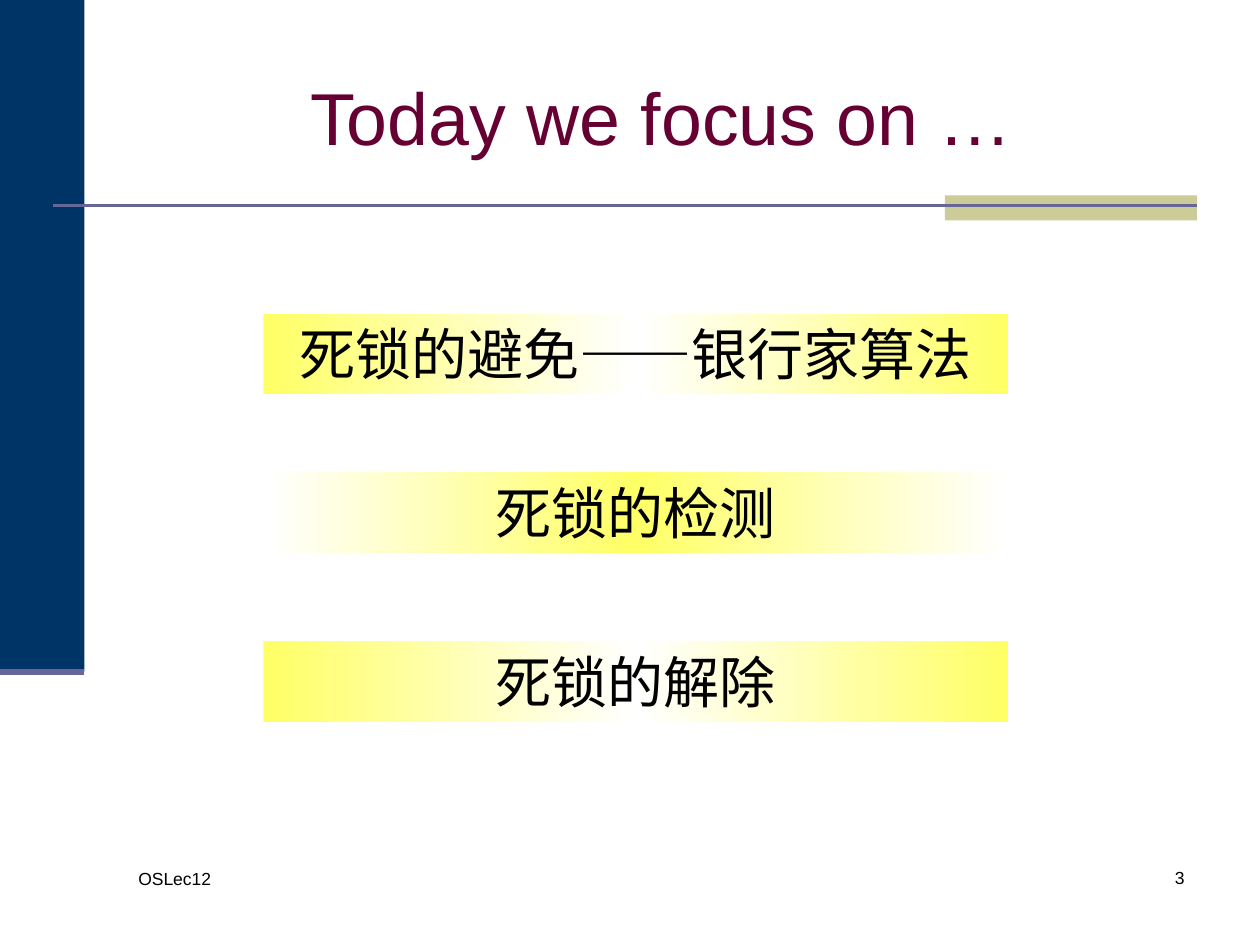
import copy

import lxml.etree
import pptx
import pptx.dml.color
import pptx.enum.shapes
import pptx.enum.text
import pptx.oxml.ns
import pptx.util

Inches = pptx.util.Inches
ALIGN = pptx.enum.text.PP_ALIGN
ANCHOR = pptx.enum.text.MSO_ANCHOR

COLORS = {
    "navy": "003366",
    "khaki": "CCCC99",
    "rule": "666699",
    "title": "660033",
    "text": "000000",
    "yellow": "FFFF66",
    "white": "FFFFFF",
}
INWARD = ("yellow", "white", "yellow")
OUTWARD = ("white", "yellow", "white")
TOPICS = [
    (2.49, "死锁的避免——银行家算法", INWARD),
    (3.75, "死锁的检测", OUTWARD),
    (5.09, "死锁的解除", INWARD),
]


def color(name):
    return pptx.dml.color.RGBColor.from_string(COLORS[name])


def apply(target, values):
    for name, value in values.items():
        setattr(target, name, value)


def write(shape, text, size, color_name, align, anchor=ANCHOR.TOP):
    frame = shape.text_frame
    apply(frame, {"word_wrap": True, "vertical_anchor": anchor})
    paragraph = frame.paragraphs[0]
    paragraph.text = text
    paragraph.alignment = align
    font = paragraph.runs[0].font
    apply(font, {"name": "Arial", "size": pptx.util.Pt(size)})
    font.color.rgb = color(color_name)


def add_rectangle(slide, box):
    shape = slide.shapes.add_shape(
        pptx.enum.shapes.MSO_SHAPE.RECTANGLE, *map(Inches, box))
    shape.shadow.inherit = False
    shape.line.fill.background()
    return shape


def add_block(slide, box, color_name):
    shape = add_rectangle(slide, box)
    shape.fill.solid()
    shape.fill.fore_color.rgb = color(color_name)


def add_rule(slide, left, right, top, width):
    connector = slide.shapes.add_connector(
        pptx.enum.shapes.MSO_CONNECTOR.STRAIGHT,
        *map(Inches, (left, top, right, top)))
    connector.line.color.rgb = color("rule")
    connector.line.width = pptx.util.Pt(width)
    lxml.etree.SubElement(connector.element.spPr, pptx.oxml.ns.qn("a:effectLst"))


def add_frame(slide):
    add_block(slide, (0, 0, 0.67, 5.33), "navy")
    add_block(slide, (7.5, 1.55, 2, 0.2), "khaki")
    add_rule(slide, 0.42, 9.5, 1.63, 1.5)
    add_rule(slide, 0, 0.67, 5.33, 3.5)


def add_title(slide, box):
    title = slide.shapes.title
    apply(title, dict(zip(("left", "top", "width", "height"), map(Inches, box))))
    write(title, "Today we focus on …", 42, "title", ALIGN.CENTER, ANCHOR.MIDDLE)


def add_footer(slide, box, text, align):
    write(slide.shapes.add_textbox(*map(Inches, box)), text, 10, "text", align)


def add_topic(slide, box, text, gradient):
    banner = add_rectangle(slide, box)
    banner.fill.gradient()
    banner.fill.gradient_angle = 0
    stop_list = banner.element.find(".//" + pptx.oxml.ns.qn("a:gsLst"))
    stop_list.insert(1, copy.deepcopy(stop_list[0]))
    for stop, position, name in zip(banner.fill.gradient_stops, (0, 0.5, 1), gradient):
        stop.position = position
        stop.color.rgb = color(name)
    write(banner, text, 32, "text", ALIGN.CENTER)
    banner.text_frame.auto_size = pptx.enum.text.MSO_AUTO_SIZE.SHAPE_TO_FIT_TEXT


def main():
    presentation = pptx.Presentation()
    apply(presentation, {"slide_width": Inches(10), "slide_height": Inches(7.5)})
    slide = presentation.slides.add_slide(presentation.slide_layouts[5])
    add_frame(slide)
    add_footer(slide, (1, 6.84, 2.17, 0.5), "OSLec12", ALIGN.LEFT)
    add_footer(slide, (7.42, 6.83, 2.08, 0.5), "3", ALIGN.RIGHT)
    add_title(slide, (1, 0.3, 8.5, 1.25))
    for top, text, gradient in TOPICS:
        add_topic(slide, (2.09, top, 5.91, 0.64), text, gradient)
    presentation.save("out.pptx")


if __name__ == "__main__":
    main()
